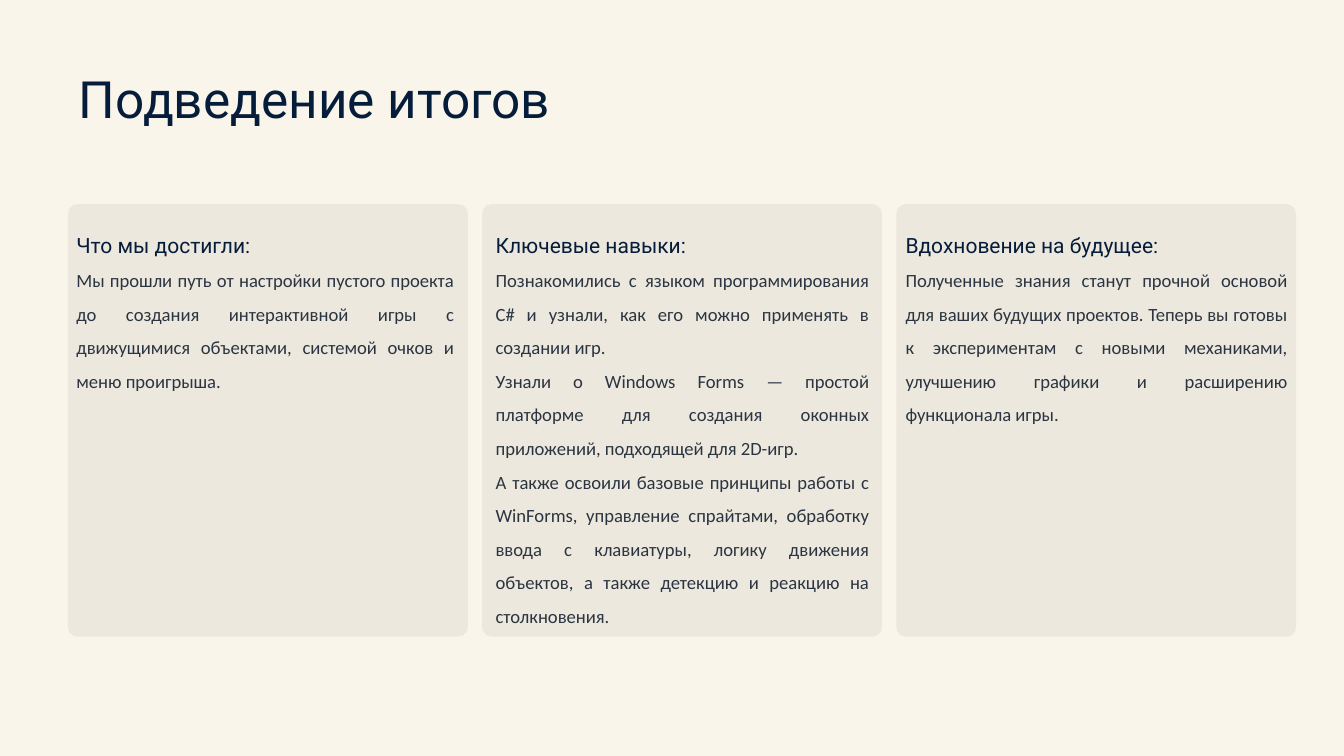
"""Build the summary slide with three takeaway cards."""
from dataclasses import dataclass

import pptx
import pptx.dml.color
import pptx.enum.shapes
import pptx.enum.text
import pptx.slide
import pptx.text.text
import pptx.util


@dataclass(frozen=True)
class TextStyle:
    font: str
    size: int
    color: str


@dataclass(frozen=True)
class Theme:
    background: str = "FAF5EB"
    card: str = "EDE8DE"
    title: TextStyle = TextStyle("Roboto", 44, "051D3A")
    heading: TextStyle = TextStyle("Roboto", 18, "051D3A")
    body: TextStyle = TextStyle("Calibri", 16, "2B3541")
    title_leading: int = 55
    card_leading: float = 1.5


@dataclass(frozen=True)
class Grid:
    width: float = 16
    height: float = 9
    left: float = 0.81
    top: float = 2.43
    column: float = 4.76
    row: float = 5.15
    gutter: float = 0.17
    text_drop: float = 0.19

    def column_left(self, index: int) -> float:
        return self.left + index * (self.column + self.gutter)


@dataclass(frozen=True)
class Takeaway:
    heading: str
    body: tuple[str, ...]
    inset: float
    text_width: float


THEME = Theme()
GRID = Grid()
TAKEAWAYS = (
    Takeaway(
        "Что мы достигли:",
        ("Мы прошли путь от настройки пустого проекта до создания интерактивной игры "
         "с движущимися объектами, системой очков и меню проигрыша.",),
        0.1, 4.5,
    ),
    Takeaway(
        "Ключевые навыки:",
        ("Познакомились с языком программирования C# и узнали, как его можно применять "
         "в создании игр.",
         "Узнали о Windows Forms — простой платформе для создания оконных приложений, "
         "подходящей для 2D-игр.",
         "А также освоили базовые принципы работы с WinForms, управление спрайтами, "
         "обработку ввода с клавиатуры, логику движения объектов, а также детекцию и "
         "реакцию на столкновения."),
        0.16, 4.45,
    ),
    Takeaway(
        "Вдохновение на будущее:",
        ("Полученные знания станут прочной основой для ваших будущих проектов. Теперь вы "
         "готовы к экспериментам с новыми механиками, улучшению графики и расширению "
         "функционала игры.",),
        0.11, 4.55,
    ),
)


def rgb(value: str) -> pptx.dml.color.RGBColor:
    return pptx.dml.color.RGBColor.from_string(value)


def add_text_frame(slide: pptx.slide.Slide, left: float, top: float,
                   width: float, height: float) -> pptx.text.text.TextFrame:
    frame = slide.shapes.add_textbox(
        *map(pptx.util.Inches, (left, top, width, height))).text_frame
    frame.word_wrap = True
    frame.margin_left = frame.margin_right = frame.margin_top = frame.margin_bottom = 0
    return frame


def add_run(paragraph: pptx.text.text._Paragraph, wording: str, style: TextStyle) -> None:
    run = paragraph.add_run()
    run.text = wording
    run.font.name = style.font
    run.font.size = pptx.util.Pt(style.size)
    run.font.color.rgb = rgb(style.color)


def draw_title(slide: pptx.slide.Slide, wording: str) -> None:
    left = 0.94
    frame = add_text_frame(slide, left, 0.77, GRID.width - 2 * left, 1.61)
    title = frame.paragraphs[0]
    title.line_spacing = pptx.util.Pt(THEME.title_leading)
    add_run(title, wording, THEME.title)


def draw_takeaway(slide: pptx.slide.Slide, index: int, takeaway: Takeaway) -> None:
    left = GRID.column_left(index)
    card = slide.shapes.add_shape(
        pptx.enum.shapes.MSO_SHAPE.ROUNDED_RECTANGLE,
        *map(pptx.util.Inches, (left, GRID.top, GRID.column, GRID.row)))
    card.adjustments[0] = 0.024
    card.shadow.inherit = False
    card.fill.solid()
    card.fill.fore_color.rgb = rgb(THEME.card)
    card.line.fill.background()

    frame = add_text_frame(slide, left + takeaway.inset, GRID.top + GRID.text_drop,
                           takeaway.text_width, GRID.row)
    passages = [(takeaway.heading, THEME.heading)]
    passages += [(wording, THEME.body) for wording in takeaway.body]
    for order, (wording, style) in enumerate(passages):
        paragraph = frame.add_paragraph() if order else frame.paragraphs[0]
        paragraph.alignment = pptx.enum.text.PP_ALIGN.JUSTIFY
        paragraph.line_spacing = THEME.card_leading
        add_run(paragraph, wording, style)


def main() -> None:
    deck = pptx.Presentation()
    deck.slide_width = pptx.util.Inches(GRID.width)
    deck.slide_height = pptx.util.Inches(GRID.height)
    summary = deck.slides.add_slide(deck.slide_layouts[6])
    summary.background.fill.solid()
    summary.background.fill.fore_color.rgb = rgb(THEME.background)
    draw_title(summary, "Подведение итогов")
    for index, takeaway in enumerate(TAKEAWAYS):
        draw_takeaway(summary, index, takeaway)
    deck.save("out.pptx")


if __name__ == "__main__":
    main()
